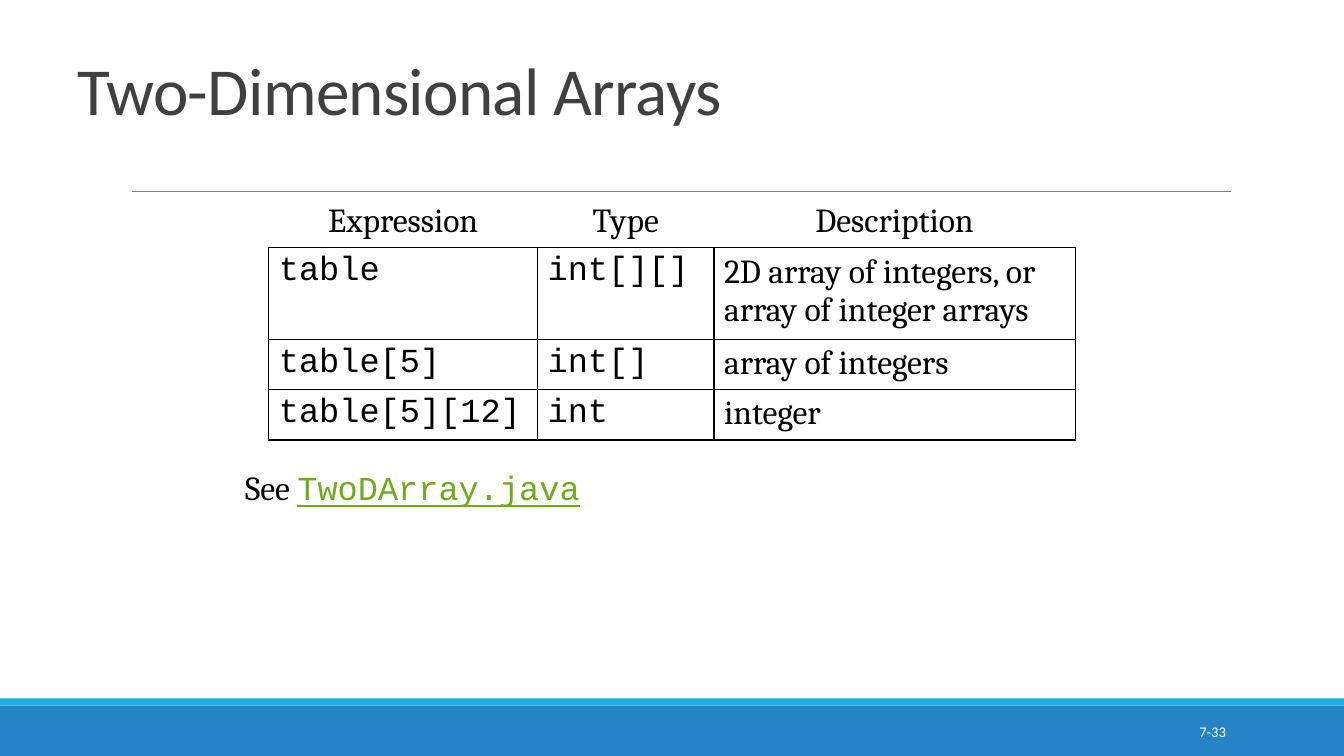
from lxml.etree import SubElement
from pptx import Presentation
from pptx.dml.color import RGBColor
from pptx.enum.shapes import MSO_CONNECTOR, MSO_SHAPE
from pptx.enum.text import MSO_ANCHOR, PP_ALIGN
from pptx.oxml.ns import qn
from pptx.util import Emu, Pt

BLACK = RGBColor(0x00, 0x00, 0x00)
WHITE = RGBColor(0xFF, 0xFF, 0xFF)
GRAY = RGBColor(0x80, 0x80, 0x80)
DARK_GRAY = RGBColor(0x40, 0x40, 0x40)
BLUE = RGBColor(0x26, 0x83, 0xC6)
CYAN = RGBColor(0x1C, 0xAD, 0xE4)
GREEN = RGBColor(0x6E, 0xAC, 0x1C)

SANS, SERIF, MONO = "Calibri", "Cambria", "Courier New"
COLUMN_FONTS = (MONO, MONO, SERIF)
COLUMN_WIDTHS = (256, 168, 344)
ROW_HEIGHTS = (48, 87, 48, 48)
ARRAY_ROWS = (
    ("Expression", "Type", "Description"),
    ("table", "int[][]", "2D array of integers, or\narray of integer arrays"),
    ("table[5]", "int[]", "array of integers"),
    ("table[5][12]", "int", "integer"),
)


def px(length):
    """Turn pixels into EMU."""
    return Emu(length * 9525)


class SlideBuilder:
    """Draw styled elements on one slide."""

    def __init__(self, slide):
        """Keep the slide to draw on."""
        self.slide = slide

    def style(self, paragraph, font_name, size, color, align=PP_ALIGN.LEFT):
        """Format a whole paragraph."""
        paragraph.alignment = align
        font = paragraph.font
        font.name, font.size = font_name, Pt(size)
        font.color.rgb = color

    def title(self, text, left, top, width, height):
        """Place and format the title placeholder."""
        shape = self.slide.shapes.title
        shape.left, shape.top = px(left), px(top)
        shape.width, shape.height = px(width), px(height)
        shape.text_frame.text = text
        shape.text_frame.vertical_anchor = MSO_ANCHOR.BOTTOM
        paragraph = shape.text_frame.paragraphs[0]
        paragraph.line_spacing = 0.85
        self.style(paragraph, SANS, 48, DARK_GRAY)
        paragraph.font._element.set("spc", "-50")

    def bar(self, left, top, width, height, color):
        """Add a plain filled rectangle."""
        shape = self.slide.shapes.add_shape(
            MSO_SHAPE.RECTANGLE, px(left), px(top), px(width), px(height))
        shape.shadow.inherit = False
        shape.fill.solid()
        shape.fill.fore_color.rgb = color
        shape.line.fill.background()

    def rule(self, left, right, y):
        """Add a thin horizontal line."""
        line = self.slide.shapes.add_connector(
            MSO_CONNECTOR.STRAIGHT, px(left), px(y), px(right), px(y))
        line.line.color.rgb = GRAY
        line.line.width = Pt(0.5)
        SubElement(line._element.spPr, qn("a:effectLst"))

    def text(self, left, top, width, height, anchor=MSO_ANCHOR.TOP):
        """Add an empty wrapping text box and return its first paragraph."""
        frame = self.slide.shapes.add_textbox(
            px(left), px(top), px(width), px(height)).text_frame
        frame.word_wrap = True
        frame.vertical_anchor = anchor
        return frame.paragraphs[0]

    def borders(self, cell, sides):
        """Draw black lines on the named sides of a cell."""
        properties = cell._tc.get_or_add_tcPr()
        for index, side in enumerate(sides):
            line = SubElement(properties, qn(f"a:ln{side}"), w=str(Pt(1)))
            fill = SubElement(line, qn("a:solidFill"))
            SubElement(fill, qn("a:srgbClr"), val=str(BLACK))
            properties.insert(index, line)

    def table(self, left, top, rows):
        """Add a table with an unboxed heading row."""
        table = self.slide.shapes.add_table(
            len(rows), len(COLUMN_WIDTHS), px(left), px(top),
            px(sum(COLUMN_WIDTHS)), px(sum(ROW_HEIGHTS))).table
        table.first_row = table.horz_banding = False
        for column, width in zip(table.columns, COLUMN_WIDTHS):
            column.width = px(width)
        for row_index, (row, height) in enumerate(zip(rows, ROW_HEIGHTS)):
            table.rows[row_index].height = px(height)
            heading = row_index == 0
            for column_index, text in enumerate(row):
                cell = table.cell(row_index, column_index)
                cell.text_frame.text = text
                cell.fill.background()
                self.borders(cell, "B" if heading else "LRTB")
                font_name = SERIF if heading else COLUMN_FONTS[column_index]
                align = PP_ALIGN.CENTER if heading else PP_ALIGN.LEFT
                for paragraph in cell.text_frame.paragraphs:
                    self.style(paragraph, font_name, 24, BLACK, align)


def main():
    """Build and save the slide."""
    presentation = Presentation()
    presentation.slide_width, presentation.slide_height = px(1280), px(720)
    slide = presentation.slides.add_slide(presentation.slide_layouts[5])
    builder = SlideBuilder(slide)

    builder.bar(0, 672, 1280, 48, BLUE)
    builder.bar(0, 665, 1280, 7, CYAN)
    builder.rule(126, 1172, 182)
    number = builder.text(1040, 678, 137, 38, MSO_ANCHOR.MIDDLE)
    number.text = "7-33"
    builder.style(number, SANS, 10.5, WHITE, PP_ALIGN.RIGHT)

    builder.title("Two-Dimensional Arrays", 64, 8, 1163, 120)
    builder.table(256, 188, ARRAY_ROWS)

    reference = builder.text(224, 440, 808, 144)
    builder.style(reference, SERIF, 24, BLACK)
    reference.add_run().text = "See "
    file_name = reference.add_run()
    file_name.text = "TwoDArray.java"
    file_name.font.name = MONO
    file_name.font.color.rgb = GREEN
    file_name.font.underline = True

    presentation.save("out.pptx")


if __name__ == "__main__":
    main()
